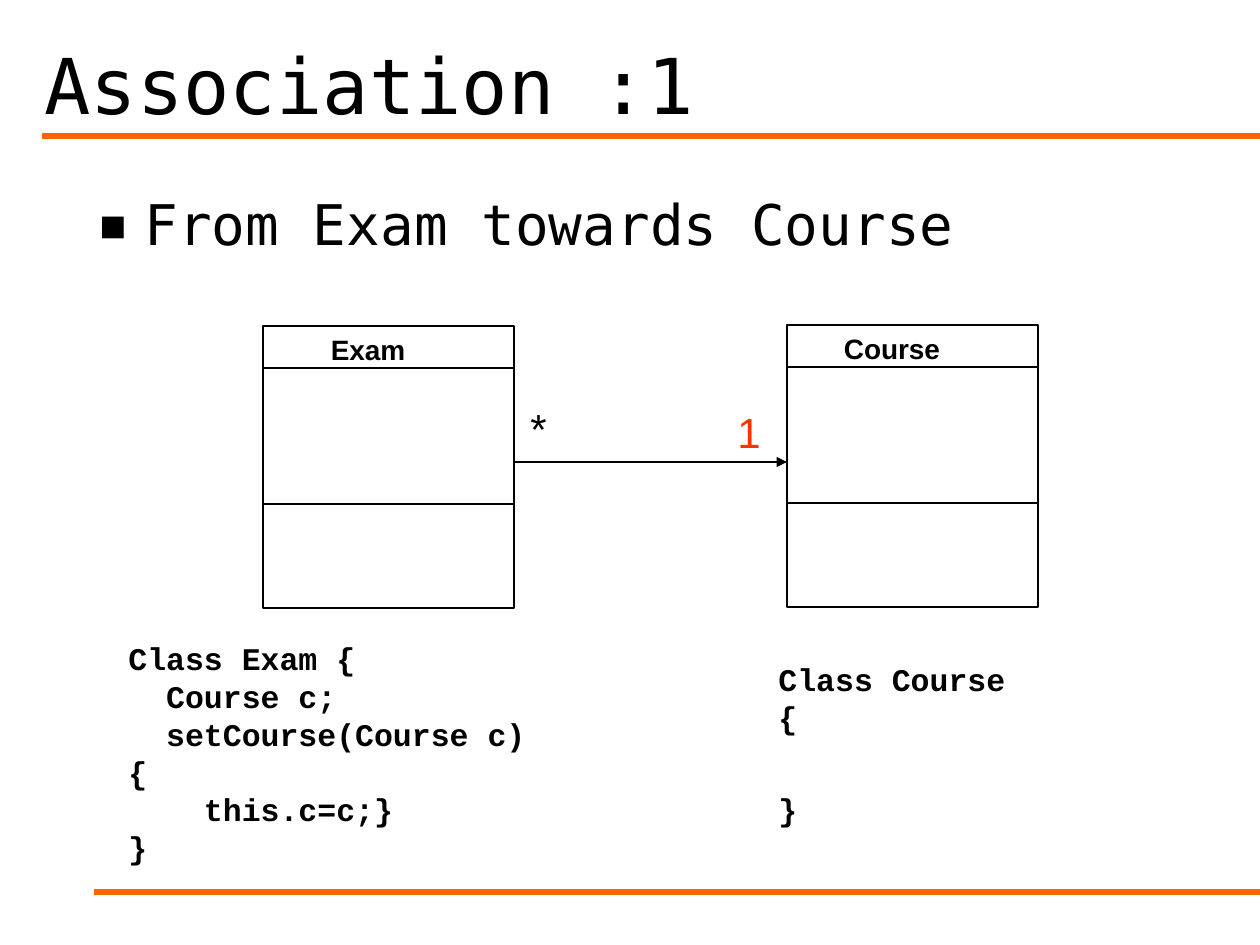
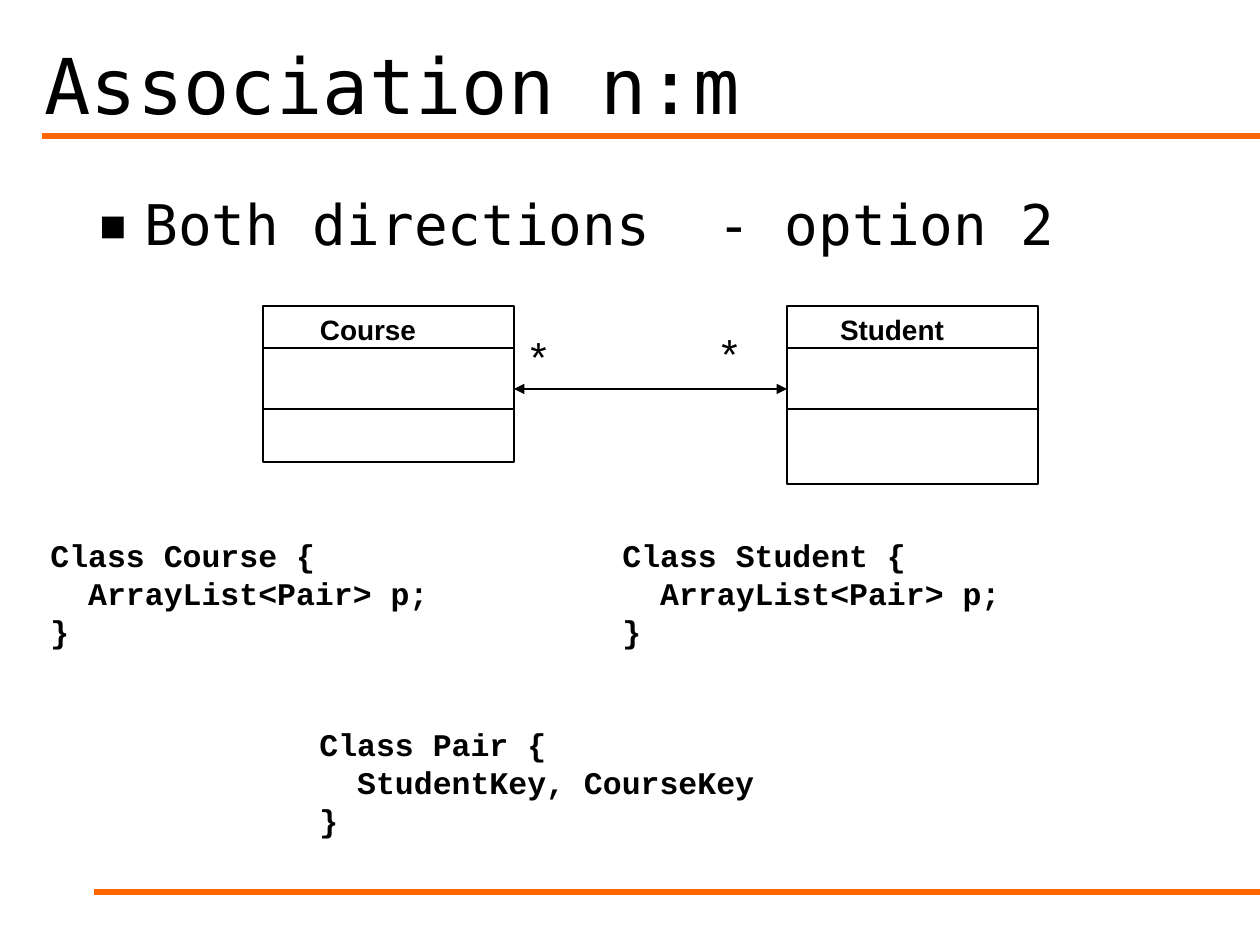
from lxml import etree
from pptx import Presentation
from pptx.dml.color import RGBColor
from pptx.enum.shapes import MSO_CONNECTOR, MSO_SHAPE
from pptx.enum.text import MSO_ANCHOR, MSO_AUTO_SIZE, PP_ALIGN
from pptx.oxml.ns import qn
from pptx.util import Pt

STRAIGHT = MSO_CONNECTOR.STRAIGHT
RECTANGLE = MSO_SHAPE.RECTANGLE
MIDDLE, TOP = MSO_ANCHOR.MIDDLE, MSO_ANCHOR.TOP
NO_FIT = MSO_AUTO_SIZE.NONE
LEFT, CENTER = PP_ALIGN.LEFT, PP_ALIGN.CENTER

BLACK = RGBColor(0x00, 0x00, 0x00)
WHITE = RGBColor(0xFF, 0xFF, 0xFF)
ORANGE = RGBColor(0xFF, 0x66, 0x00)
RED = RGBColor(0xFF, 0x33, 0x00)
HEADING_FONT, LABEL_FONT, CODE_FONT = "DejaVu Sans Mono", "Arial", "Courier New"

PX_PER_INCH = 126
SLIDE_W, SLIDE_H = 1260, 945
CLASS_W = 251
NAME_W, NAME_H = 210, 47
HEADER_H = 42
CLASS_LEFTS = (263, 787)
TITLE_BOX = (32, 21, 1187, 126)
BULLET_BOX = (84, 183, 1134, 90)
BULLET_INDENT = 48


def px(n):
    return round(n * 914400 / PX_PER_INCH)


def place(box):
    return [px(n) for n in box]


def style(p, font, size, color=BLACK, bold=False, align=LEFT):
    p.alignment = align
    for r in p.runs:
        r.font.name = font
        r.font.size = Pt(size)
        r.font.bold = bold
        r.font.color.rgb = color


def add_text(s, box, text):
    tf = s.shapes.add_textbox(*place(box)).text_frame
    tf.word_wrap = True
    tf.text = text
    return tf


def add_line(s, x1, y1, x2, y2, color=BLACK, width=1.5, arrows=()):
    line = s.shapes.add_connector(STRAIGHT, *place((x1, y1, x2, y2)))
    line.line.color.rgb = color
    line.line.width = Pt(width)
    for end in arrows:
        etree.SubElement(line.line._get_or_add_ln(), qn(f"a:{end}"), type="triangle")
    etree.SubElement(line._element.spPr, qn("a:effectLst"))


def add_bullet(s, text):
    p = add_text(s, BULLET_BOX, text).paragraphs[0]
    pPr = p._p.get_or_add_pPr()
    pPr.set("marL", str(px(BULLET_INDENT)))
    pPr.set("indent", str(-px(BULLET_INDENT)))
    color = etree.SubElement(pPr, qn("a:buClr"))
    etree.SubElement(color, qn("a:srgbClr"), val=str(BLACK))
    etree.SubElement(pPr, qn("a:buFont"), typeface=HEADING_FONT)
    etree.SubElement(pPr, qn("a:buChar"), char="▪")
    style(p, HEADING_FONT, 32)


def add_base_slide(prs, title, bullet):
    s = prs.slides.add_slide(prs.slide_layouts[5])
    for left, y in ((42, 136), (94, 892)):
        add_line(s, SLIDE_W, y, left, y, ORANGE, 3)
    sp = s.shapes.title
    sp.left, sp.top, sp.width, sp.height = place(TITLE_BOX)
    tf = sp.text_frame
    tf.text = title
    tf.auto_size = NO_FIT
    tf.vertical_anchor = MIDDLE
    style(tf.paragraphs[0], HEADING_FONT, 44)
    add_bullet(s, bullet)
    return s


def add_class(s, name, left, top, height, methods_offset):
    sp = s.shapes.add_shape(RECTANGLE, *place((left, top, CLASS_W, height)))
    sp.shadow.inherit = False
    sp.fill.solid()
    sp.fill.fore_color.rgb = WHITE
    sp.line.color.rgb = BLACK
    sp.line.width = Pt(1.5)
    tf = add_text(s, (left, top, NAME_W, NAME_H), name)
    style(tf.paragraphs[0], LABEL_FONT, 16, bold=True, align=CENTER)
    for offset in (HEADER_H, methods_offset):
        add_line(s, left, top + offset, left + CLASS_W, top + offset)


def add_association(s, y, arrows):
    add_line(s, CLASS_LEFTS[0] + CLASS_W, y, CLASS_LEFTS[1], y, arrows=arrows)


def add_multiplicity(s, text, left, top, color=BLACK):
    tf = add_text(s, (left, top, 49, 63), text)
    style(tf.paragraphs[0], LABEL_FONT, 24, color)


def add_code(s, box, lines, last_gap=0):
    tf = add_text(s, box, "\n".join(lines))
    tf.vertical_anchor = TOP
    for p in tf.paragraphs:
        style(p, CODE_FONT, 18, bold=True)
        p.line_spacing = Pt(21.6)
    if last_gap:
        tf.paragraphs[-1].space_before = Pt(last_gap)


def add_one_way_slide(prs):
    s = add_base_slide(prs, "Association :1", "From Exam towards Course")
    for name, left, top in zip(("Exam", "Course"), CLASS_LEFTS, (326, 325)):
        add_class(s, name, left, top, 282, 178)
    add_association(s, 462, ["tailEnd"])
    add_multiplicity(s, "*", 518, 396)
    add_multiplicity(s, "1", 725, 400, RED)
    add_code(s, (116, 633, 436, 240), [
        "Class Exam {",
        "  Course c;",
        "  setCourse(Course c){",
        "    this.c=c;}",
        "}",
    ])
    add_code(s, (766, 654, 284, 182), ["Class Course {", "}"], last_gap=31)


def add_two_way_slide(prs):
    s = add_base_slide(prs, "Association n:m", "Both directions  - option 2")
    for name, left, height in zip(("Course", "Student"), CLASS_LEFTS, (156, 178)):
        add_class(s, name, left, 306, height, 103)
    add_association(s, 389, ["headEnd", "tailEnd"])
    add_multiplicity(s, "*", 518, 324)
    add_multiplicity(s, "*", 709, 321)
    for name, left, top, fields in (
        ("Course", 38, 530, "ArrayList<Pair> p;"),
        ("Student", 610, 530, "ArrayList<Pair> p;"),
        ("Pair", 307, 719, "StudentKey, CourseKey"),
    ):
        add_code(s, (left, top, 480, 127), [f"Class {name} {{", f"  {fields}", "}"])


def main():
    prs = Presentation()
    prs.slide_width, prs.slide_height = px(SLIDE_W), px(SLIDE_H)
    add_one_way_slide(prs)
    add_two_way_slide(prs)
    prs.save("out.pptx")


if __name__ == "__main__":
    main()
